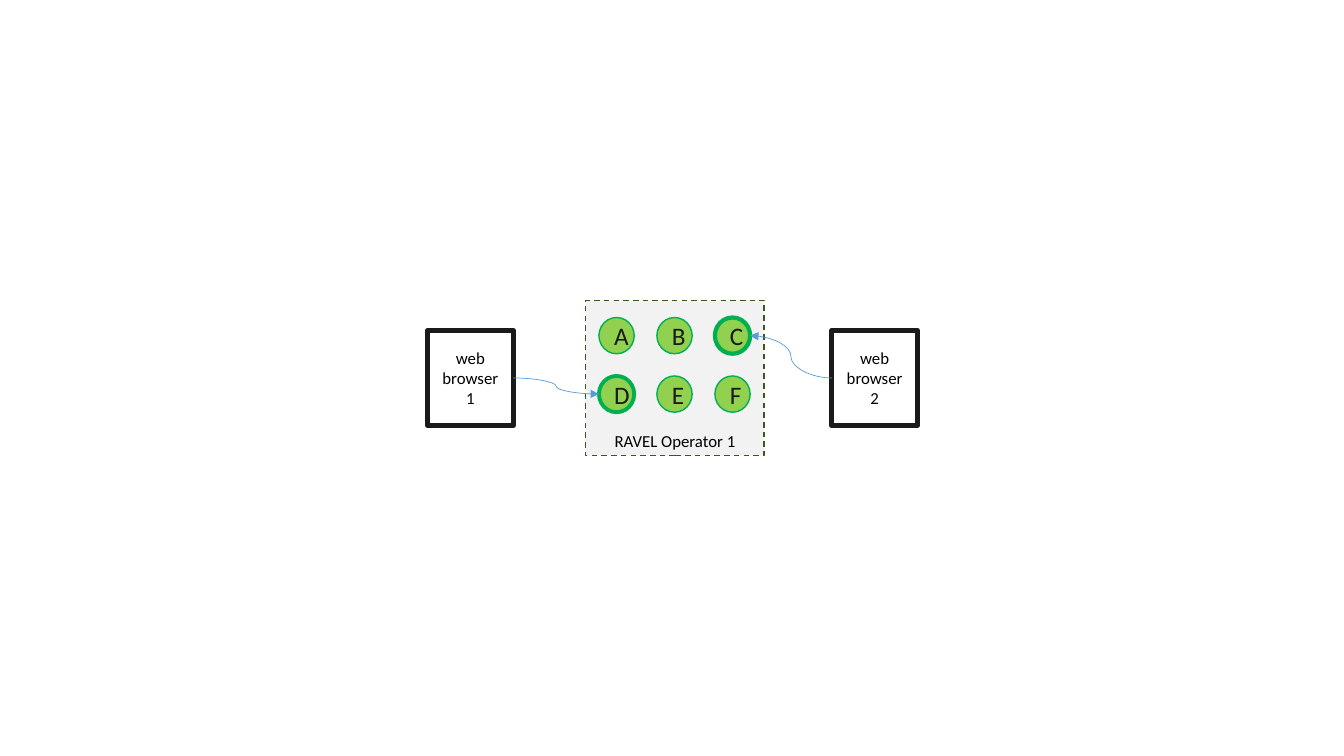
"""Two web browsers connected to instances of one RAVEL operator."""
from dataclasses import dataclass

import pptx
import pptx.dml.color
import pptx.enum.dml
import pptx.enum.shapes
import pptx.enum.text
import pptx.oxml
import pptx.shapes.autoshape
import pptx.slide
import pptx.util

SHAPE = pptx.enum.shapes.MSO_SHAPE
ANCHOR = pptx.enum.text.MSO_ANCHOR
NS = 'xmlns:a="http://schemas.openxmlformats.org/drawingml/2006/main"'

SLIDE_W, SLIDE_H = 13.33, 7.5
GRID_LEFT, GRID_TOP = 5.94, 3.15  # first instance circle
COL, ROW = 0.575, 0.58  # pitch of the instance grid
CIRCLE_W, CIRCLE_H = 0.35, 0.36
BROWSER_TOP, BROWSER_W, BROWSER_H = 3.28, 0.85, 0.94
COLUMNS = 3
BOLD_RINGS = {"C": 3, "D": 2.75}  # instances in use


@dataclass(frozen=True)
class Node:
    """A labelled shape; lengths in inches, text and line in points."""
    text: str
    left: float
    top: float
    width: float
    height: float
    kind: SHAPE
    fill: str | None
    line: str
    line_width: float
    size: int = 12
    color: str = "000000"
    anchor: ANCHOR = ANCHOR.MIDDLE
    dashed: bool = False

    @property
    def middle(self) -> float:
        """Return the height of the horizontal centre line."""
        return self.top + self.height / 2

    @property
    def right(self) -> float:
        """Return the right edge."""
        return self.left + self.width


def rgb(value: str) -> pptx.dml.color.RGBColor:
    """Turn a hex string into a colour."""
    return pptx.dml.color.RGBColor.from_string(value)


def instance(index: int, name: str) -> Node:
    """Place one instance circle on the grid."""
    row, col = divmod(index, COLUMNS)
    return Node(name, GRID_LEFT + col * COL, GRID_TOP + row * ROW,
                CIRCLE_W, CIRCLE_H, SHAPE.OVAL, "92D050", "00B050",
                BOLD_RINGS.get(name, 1), 18, "1A1A1A")


def browser(number: int, left: float) -> Node:
    """Describe one web browser box."""
    return Node(f"web browser {number}", left, BROWSER_TOP, BROWSER_W,
                BROWSER_H, SHAPE.RECTANGLE, None, "1A1A1A", 3.75)


def draw_node(s: pptx.slide.Slide, node: Node) -> pptx.shapes.autoshape.Shape:
    """Draw a node with its label."""
    box = map(pptx.util.Inches, (node.left, node.top, node.width, node.height))
    sp = s.shapes.add_shape(node.kind, *box)
    sp.shadow.inherit = False
    if node.fill:
        sp.fill.solid()
        sp.fill.fore_color.rgb = rgb(node.fill)
    else:
        sp.fill.background()
    sp.line.color.rgb = rgb(node.line)
    sp.line.width = pptx.util.Pt(node.line_width)
    if node.dashed:
        sp.line.dash_style = pptx.enum.dml.MSO_LINE.DASH
    tf = sp.text_frame
    tf.word_wrap = True
    tf.vertical_anchor = node.anchor
    p = tf.paragraphs[0]
    p.text = node.text
    p.alignment = pptx.enum.text.PP_ALIGN.CENTER
    p.font.name = "Calibri"
    p.font.size = pptx.util.Pt(node.size)
    p.font.color.rgb = rgb(node.color)
    return sp


def draw_arrow(s: pptx.slide.Slide, start: Node, end: Node) -> None:
    """Draw a curved arrow between the facing sides of two nodes."""
    rightward = start.left < end.left
    x1 = start.right if rightward else start.left
    x2 = end.left if rightward else end.right
    ends = map(pptx.util.Inches, (x1, start.middle, x2, end.middle))
    cx = s.shapes.add_connector(pptx.enum.shapes.MSO_CONNECTOR.CURVE, *ends)
    cx.line.color.rgb = rgb("5B9BD5")
    cx.line.width = pptx.util.Pt(0.5)
    ln = cx.line._get_or_add_ln()
    ln.append(pptx.oxml.parse_xml(f'<a:tailEnd {NS} type="triangle"/>'))
    cx._element.spPr.append(pptx.oxml.parse_xml(f"<a:effectLst {NS}/>"))


def main() -> None:
    """Build and save the slide."""
    prs = pptx.Presentation()
    prs.slide_width = pptx.util.Inches(SLIDE_W)
    prs.slide_height = pptx.util.Inches(SLIDE_H)
    s = prs.slides.add_slide(prs.slide_layouts[6])

    operator = Node("RAVEL Operator 1", 5.81, 2.98, 1.77, 1.54,
                    SHAPE.RECTANGLE, "F2F2F2", "385723", 1,
                    anchor=ANCHOR.BOTTOM, dashed=True)
    instances = {name: instance(i, name) for i, name in enumerate("ABCDEF")}
    left_browser, right_browser = browser(1, 4.24), browser(2, 8.25)

    for node in (operator, *instances.values(), left_browser, right_browser):
        draw_node(s, node)
    draw_arrow(s, right_browser, instances["C"])
    draw_arrow(s, left_browser, instances["D"])

    prs.save("out.pptx")


main()
